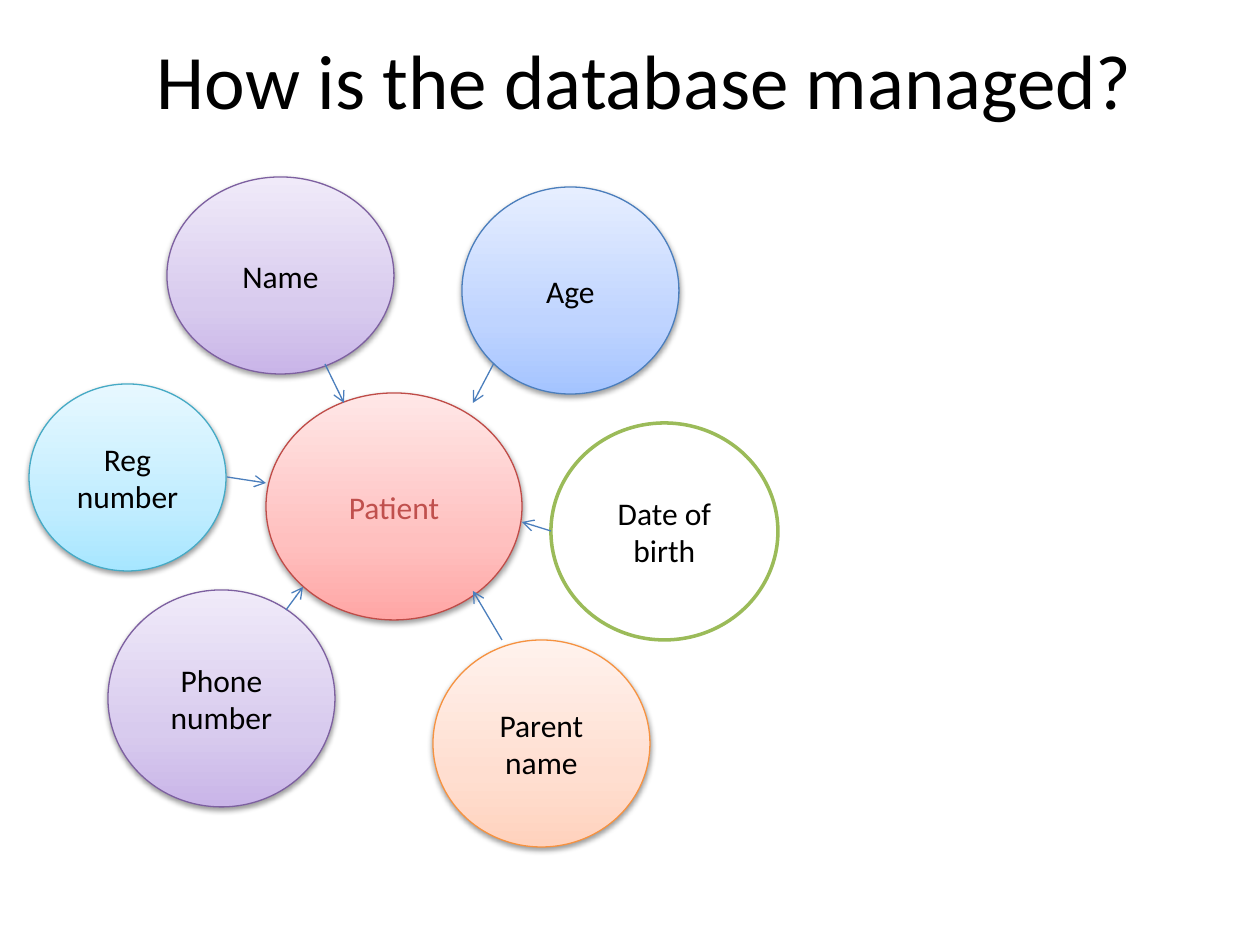
from copy import deepcopy
from lxml import etree
from pptx import Presentation
from pptx.dml.color import RGBColor
from pptx.enum.shapes import MSO_CONNECTOR, MSO_SHAPE
from pptx.enum.text import MSO_ANCHOR, PP_ALIGN
from pptx.oxml.ns import qn
from pptx.util import Emu, Pt

OVAL, STRAIGHT = MSO_SHAPE.OVAL, MSO_CONNECTOR.STRAIGHT
MIDDLE, CENTER = MSO_ANCHOR.MIDDLE, PP_ALIGN.CENTER
FONT = "Calibri"
SCALE = 914400 // 126

# Content: gradients run from bottom to top
TITLE = "How is the database managed?"
RED = ("FFA6A5", "FFC0BF", "FFE7E7")
BLUE = ("A4C4FF", "BFD4FF", "E6EEFF")
PURPLE = ("C9B5E8", "D8CBEE", "F0EAF9")
ORANGE = ("FFD2BD", "FFDED0", "FFF2ED")
AQUA = ("A7E6FF", "C1EDFF", "E7F8FF")
STOPS = (0, 0.35, 1)

# Text, box (left, top, width, height), gradient, outline, text colour
BUBBLES = [
    ("Patient", (266, 393, 256, 227), RED, "BF4C48", "C0504D"),
    ("Age", (462, 187, 217, 207), BLUE, "4B7EBC", "000000"),
    ("Name", (167, 177, 227, 197), PURPLE, "7D60A0", "000000"),
    ("Date of birth", (551, 423, 227, 217), None, "9BBB59", "000000"),
    ("Parent name", (433, 640, 217, 207), ORANGE, "F69240", "000000"),
    ("Reg number", (29, 384, 197, 187), AQUA, "46AAC5", "000000"),
    ("Phone number", (108, 590, 227, 217), PURPLE, "7D60A0", "000000"),
]
ARROWS = [
    (325, 364, 344, 403),
    (227, 477, 266, 483),
    (286, 610, 303, 587),
    (502, 640, 473, 591),
    (494, 363, 473, 403),
    (551, 531, 522, 522),
]


def px(*values):
    return [Emu(v * SCALE) for v in values]


def rgb(value):
    return RGBColor.from_string(value)


def set_text(sp, text, size, color):
    tf = sp.text_frame
    tf.text = text
    tf.word_wrap = True
    tf.vertical_anchor = MIDDLE
    p = tf.paragraphs[0]
    p.alignment = CENTER
    font = p.runs[0].font
    font.name, font.size = FONT, Pt(size)
    font.color.rgb = rgb(color)


def set_gradient(sp, colors):
    fill = sp.fill
    fill.gradient()
    fill.gradient_angle = 90
    gs_list = sp._element.spPr.find(".//" + qn("a:gsLst"))
    gs_list.insert(1, deepcopy(gs_list[0]))
    for stop, position, color in zip(fill.gradient_stops, STOPS, colors):
        stop.position = position
        stop.color.rgb = rgb(color)


def add_shadow(sp):
    effects = sp._element.spPr.find(qn("a:effectLst"))
    shadow = etree.SubElement(effects, qn("a:outerShdw"), blurRad="40000",
                              dist="20000", dir="5400000", rotWithShape="0")
    color = etree.SubElement(shadow, qn("a:srgbClr"), val="000000")
    etree.SubElement(color, qn("a:alpha"), val="38000")


prs = Presentation()
prs.slide_width, prs.slide_height = px(1260, 945)
slide = prs.slides.add_slide(prs.slide_layouts[5])

# Title
title = slide.shapes.title
title.left, title.top, title.width, title.height = px(78, 0, 1134, 158)
set_text(title, TITLE, 44, "000000")

# Bubbles
for text, box, gradient, outline, color in BUBBLES:
    sp = slide.shapes.add_shape(OVAL, *px(*box))
    sp.shadow.inherit = False
    sp.line.color.rgb = rgb(outline)
    sp.line.width = Pt(0.75 if gradient else 2)
    if gradient:
        set_gradient(sp, gradient)
        add_shadow(sp)
    else:
        sp.fill.solid()
        sp.fill.fore_color.rgb = rgb("FFFFFF")
    set_text(sp, text, 18, color)

# Arrows
for ends in ARROWS:
    arrow = slide.shapes.add_connector(STRAIGHT, *px(*ends))
    arrow.line.color.rgb = rgb("4B7EBC")
    arrow.line.width = Pt(0.75)
    etree.SubElement(arrow.line._get_or_add_ln(), qn("a:tailEnd"), type="arrow")
    etree.SubElement(arrow._element.spPr, qn("a:effectLst"))

prs.save("out.pptx")
